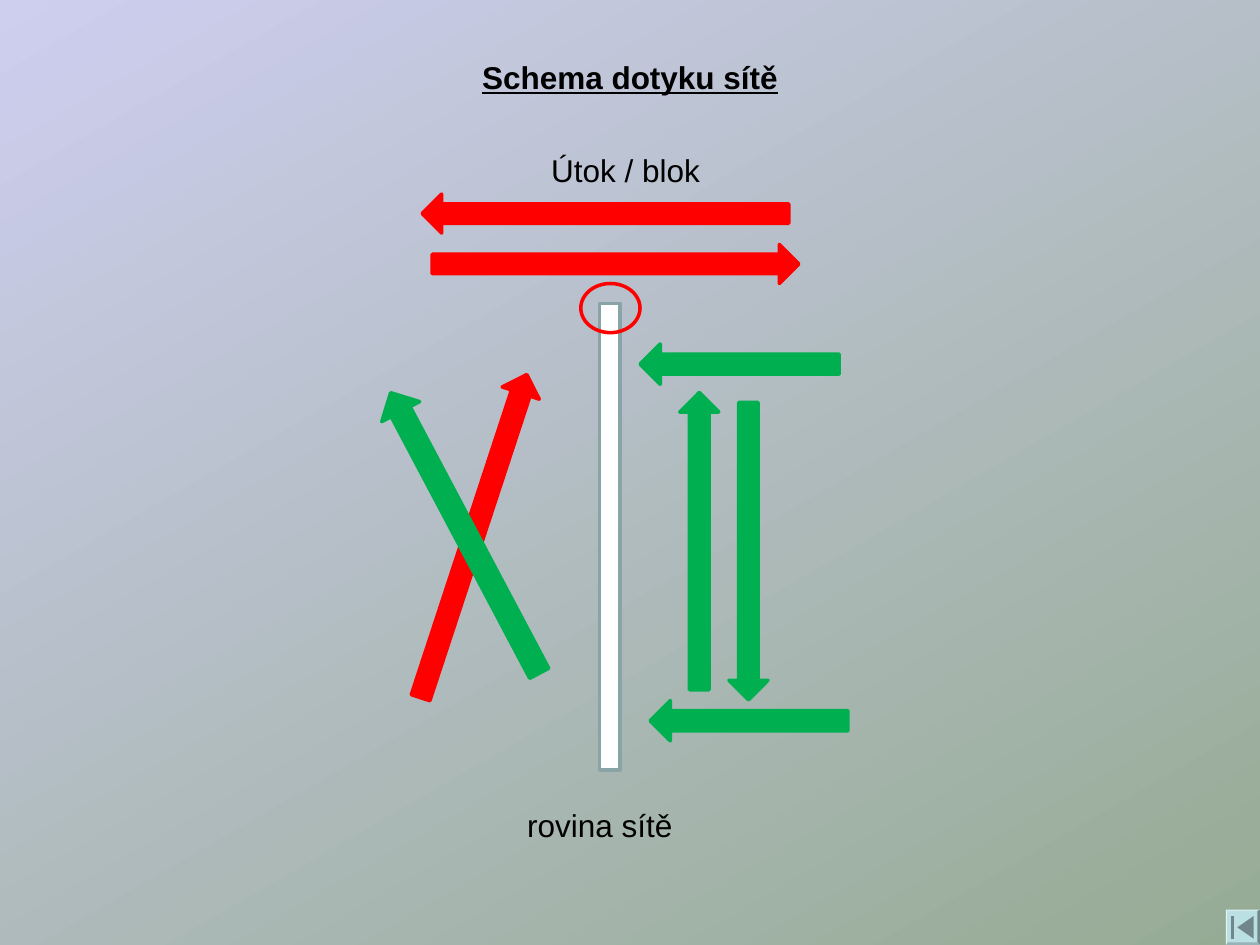
from pptx import Presentation
from pptx.dml.color import RGBColor
from pptx.enum.shapes import MSO_SHAPE
from pptx.enum.text import MSO_ANCHOR, MSO_AUTO_SIZE, PP_ALIGN
from pptx.util import Inches, Pt

ARROW, RECTANGLE, OVAL = MSO_SHAPE.RIGHT_ARROW, MSO_SHAPE.RECTANGLE, MSO_SHAPE.OVAL
TOP, CENTER = MSO_ANCHOR.TOP, PP_ALIGN.CENTER
GROW = MSO_AUTO_SIZE.SHAPE_TO_FIT_TEXT

COLORS = {
    "bg_start": "CECEEF", "bg_end": "96AB94", "text": "000000",
    "red": "FF0000", "green": "00B050", "net": "FFFFFF", "net_edge": "89A4A7",
    "button": "BBE0E3", "button_light": "D5ECEE", "button_lighter": "E3F2F4",
    "button_shade": "96B3B6", "button_dark": "70868A",
}

# left, top, width, height, rotation, colour
ARROWS = [
    # attack and block above the net
    (3.43, 1.94, 2.91, 0.31, 0, "red"),
    (3.35, 1.54, 2.91, 0.31, 180, "red"),
    # left side, red below green
    (2.41, 4.10, 2.70, 0.31, 288.2, "red"),
    (2.43, 4.06, 2.52, 0.34, 242.1, "green"),
    # right side
    (4.37, 4.14, 2.36, 0.31, 270, "green"),
    (4.76, 4.22, 2.36, 0.31, 90, "green"),
    (5.16, 5.56, 1.57, 0.32, 180, "green"),
    (5.08, 2.73, 1.58, 0.32, 180, "green"),
]


def rgb(name):
    return RGBColor.from_string(COLORS[name])


def inches(*lengths):
    return [Inches(length) for length in lengths]


def set_background(slide):
    fill = slide.background.fill
    fill.gradient()
    fill.gradient_angle = 300
    for stop, name in zip(fill.gradient_stops, ("bg_start", "bg_end")):
        stop.color.rgb = rgb(name)


def write(frame, text, **font_format):
    frame.word_wrap = True
    frame.vertical_anchor = TOP
    paragraph = frame.paragraphs[0]
    paragraph.alignment = CENTER
    run = paragraph.add_run()
    run.text = text
    for key, value in {"name": "Arial", "size": Pt(18), **font_format}.items():
        setattr(run.font, key, value)
    run.font.color.rgb = rgb("text")


def add_title(slide, text):
    title = slide.shapes.title
    title.left, title.top, title.width, title.height = inches(0.5, 0.46, 9, 0.54)
    frame = title.text_frame
    frame.auto_size = MSO_AUTO_SIZE.NONE
    frame.margin_top = frame.margin_bottom = 0
    write(frame, text, bold=True, underline=True)


def add_label(slide, text, box):
    frame = slide.shapes.add_textbox(*inches(*box)).text_frame
    frame.auto_size = GROW
    write(frame, text)


def add_figure(slide, kind, box, fill, line, rotation=0):
    figure = slide.shapes.add_shape(kind, *inches(*box))
    figure.shadow.inherit = False
    figure.rotation = rotation
    if fill:
        figure.fill.solid()
        figure.fill.fore_color.rgb = rgb(fill)
    else:
        figure.fill.background()
    figure.line.color.rgb = rgb(line)
    figure.line.width = Pt(2)


def add_polygon(slide, points, color):
    start, *rest = [inches(*point) for point in points]
    builder = slide.shapes.build_freeform(*start, scale=1.0)
    builder.add_line_segments(rest, close=True)
    polygon = builder.convert_to_shape()
    polygon.shadow.inherit = False
    polygon.fill.solid()
    polygon.fill.fore_color.rgb = rgb(color)
    polygon.line.fill.background()


def add_back_button(slide):
    outer = [(9.73, 7.22), (10, 7.22), (10, 7.5), (9.73, 7.5)]
    inner = [(9.74, 7.23), (9.98, 7.23), (9.98, 7.48), (9.74, 7.48)]
    add_polygon(slide, outer, "button")
    # Bevelled edges: top, right, bottom, left
    edges = ("button_light", "button_dark", "button_shade", "button_lighter")
    for i, color in enumerate(edges):
        j = (i + 1) % len(edges)
        add_polygon(slide, [outer[i], outer[j], inner[j], inner[i]], color)
    # Triangle and bar
    add_polygon(slide, [(9.82, 7.36), (9.95, 7.27), (9.95, 7.45)], "button_dark")
    add_polygon(slide, [(9.77, 7.27), (9.79, 7.27), (9.79, 7.45), (9.77, 7.45)],
                "button_dark")


def main():
    prs = Presentation()
    prs.slide_width, prs.slide_height = inches(10, 7.5)
    slide = prs.slides.add_slide(prs.slide_layouts[5])
    set_background(slide)
    add_title(slide, "Schema dotyku sítě")
    add_back_button(slide)

    # Net with its touch zone
    add_label(slide, "Útok / blok", (3.9, 1.15, 2.13, 0.4))
    add_figure(slide, RECTANGLE, (4.76, 2.41, 0.16, 3.7), "net", "net_edge")
    add_label(slide, "rovina sítě", (3.66, 6.35, 2.2, 0.4))
    add_figure(slide, OVAL, (4.61, 2.25, 0.47, 0.39), None, "red")

    # Directions of movement
    for *box, rotation, color in ARROWS:
        add_figure(slide, ARROW, box, color, color, rotation)

    prs.save("out.pptx")


if __name__ == "__main__":
    main()
